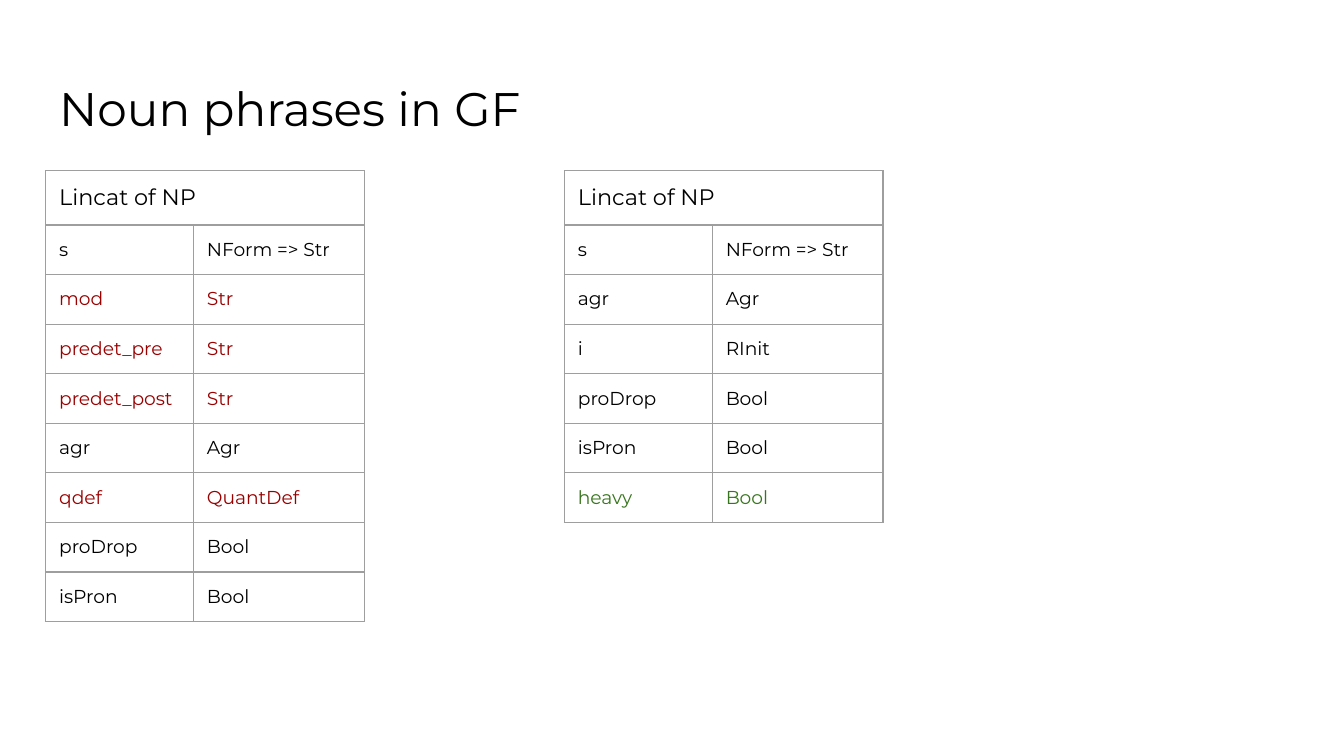
from lxml import etree
from pptx import Presentation
from pptx.dml.color import RGBColor
from pptx.enum.text import MSO_ANCHOR, PP_ALIGN
from pptx.oxml.ns import qn
from pptx.util import Inches, Pt

FONT = "Montserrat"
BLACK, RED, GREEN, GREY = "000000", "990000", "38761D", "9E9E9E"
MARGINS = {f"margin_{side}": Inches(0.1) for side in ("left", "right", "top", "bottom")}


def write(frame, text, size, color):
    para = frame.paragraphs[0]
    para.alignment = PP_ALIGN.LEFT
    span = para.add_run()
    span.text = text
    for name, value in {"name": FONT, "size": Pt(size), "bold": False}.items():
        setattr(span.font, name, value)
    span.font.color.rgb = RGBColor.from_string(color)


def add_borders(cell):
    props = cell._tc.get_or_add_tcPr()
    for index, side in enumerate(("lnL", "lnR", "lnT", "lnB")):
        line = etree.Element(qn(f"a:{side}"), w=str(Pt(0.75)))
        fill = etree.SubElement(line, qn("a:solidFill"))
        etree.SubElement(fill, qn("a:srgbClr"), val=GREY)
        props.insert(index, line)


deck = Presentation()
deck.slide_width, deck.slide_height = Inches(10), Inches(10 * 9 / 16)
page = deck.slides.add_slide(deck.slide_layouts[5])

title = page.shapes.title
title_place = {"left": 0.34, "top": 0.49, "width": 9.32, "height": 0.63}
for name, value in title_place.items():
    setattr(title, name, Inches(value))
title_format = MARGINS | {"vertical_anchor": MSO_ANCHOR.TOP, "word_wrap": True}
for name, value in title_format.items():
    setattr(title.text_frame, name, value)
write(title.text_frame, "Noun phrases in GF", 25.2, BLACK)

# Each record type: left edge, then its fields as (name, type, color)
records = [
    (0.34, [
        ("s", "NForm => Str", BLACK),
        ("mod", "Str", RED),
        ("predet_pre", "Str", RED),
        ("predet_post", "Str", RED),
        ("agr", "Agr", BLACK),
        ("qdef", "QuantDef", RED),
        ("proDrop", "Bool", BLACK),
        ("isPron", "Bool", BLACK),
    ]),
    (4.2, [
        ("s", "NForm => Str", BLACK),
        ("agr", "Agr", BLACK),
        ("i", "RInit", BLACK),
        ("proDrop", "Bool", BLACK),
        ("isPron", "Bool", BLACK),
        ("heavy", "Bool", GREEN),
    ]),
]
COLUMN_WIDTHS = (1.1, 1.27)
HEADER_HEIGHT, ROW_HEIGHT = 0.4, 0.28

for left, fields in records:
    frame = page.shapes.add_table(
        len(fields) + 1, 2, Inches(left), Inches(1.27), Inches(3.28), Inches(3.28))
    table = frame.table
    table.first_row = table.horz_banding = False
    for column, width in zip(table.columns, COLUMN_WIDTHS):
        column.width = Inches(width)
    for index, row in enumerate(table.rows):
        row.height = Inches(ROW_HEIGHT if index else HEADER_HEIGHT)
    frame.width = frame.height = Inches(3.28)

    for cell in table.iter_cells():
        for name, value in MARGINS.items():
            setattr(cell, name, value)
        cell.fill.background()
        add_borders(cell)

    header = table.cell(0, 0)
    header.merge(table.cell(0, 1))
    write(header.text_frame, "Lincat of NP", 12, BLACK)
    for row_index, (*texts, color) in enumerate(fields, start=1):
        for column_index, text in enumerate(texts):
            write(table.cell(row_index, column_index).text_frame, text, 10, color)

deck.save("out.pptx")
